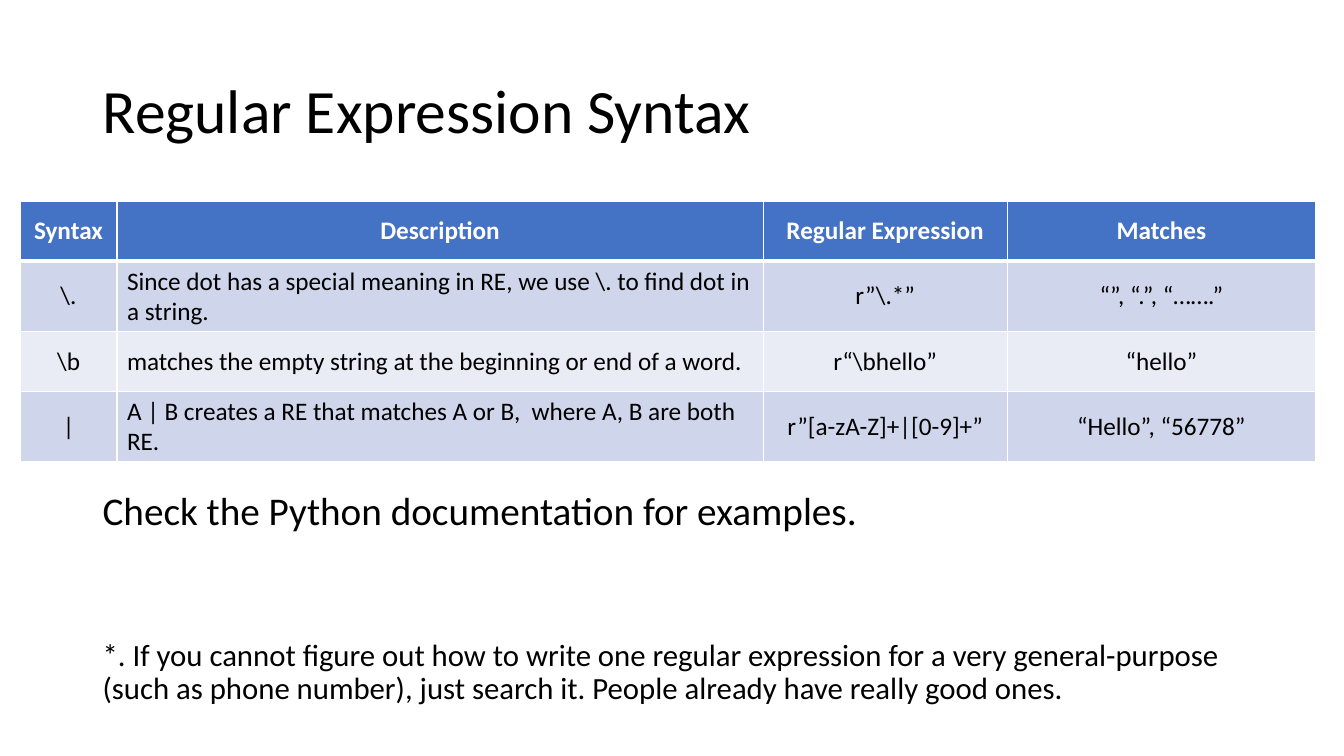
from lxml import etree
from pptx import Presentation
from pptx.dml.color import RGBColor
from pptx.enum.text import MSO_ANCHOR, PP_ALIGN
from pptx.oxml.ns import qn
from pptx.util import Inches, Pt

LEFT, CENTER = PP_ALIGN.LEFT, PP_ALIGN.CENTER
TOP, MIDDLE = MSO_ANCHOR.TOP, MSO_ANCHOR.MIDDLE
BLACK = RGBColor(0x00, 0x00, 0x00)
WHITE = RGBColor(0xFF, 0xFF, 0xFF)
BLUE = RGBColor(0x44, 0x72, 0xC4)
BANDS = (RGBColor(0xCF, 0xD5, 0xEA), RGBColor(0xE9, 0xEB, 0xF5))
FONT = "Calibri"

SLIDE_W, SLIDE_H = 13.33, 7.5
MARGIN, TEXT_W = 0.92, 11.5
COLUMN_WIDTHS = (0.96, 6.41, 2.42, 3.06)
ROW_H = 0.59

SYNTAX_ROWS = (
    ("Syntax", "Description", "Regular Expression", "Matches"),
    (r"\.", r"Since dot has a special meaning in RE, we use \. to find dot in a string.",
     r"r”\.*”", "“”, “.”, “…….”"),
    (r"\b", "matches the empty string at the beginning or end of a word.",
     r"r“\bhello”", "“hello”"),
    ("|", "A | B creates a RE that matches A or B,  where A, B are both RE.",
     "r”[a-zA-Z]+|[0-9]+”", "“Hello”, “56778”"),
)


def write(frame, text, size=18, color=BLACK, bold=False, align=LEFT, spacing=1.0):
    frame.word_wrap = True
    paragraph = frame.paragraphs[0]
    paragraph.alignment = align
    paragraph.line_spacing = spacing
    run = paragraph.add_run()
    run.text = text
    run.font.name = FONT
    run.font.size = Pt(size)
    run.font.bold = bold
    run.font.color.rgb = color


def add_text(slide, box, text, anchor=TOP, **text_format):
    frame = slide.shapes.add_textbox(*map(Inches, box)).text_frame
    frame.vertical_anchor = anchor
    write(frame, text, spacing=0.9, **text_format)


def set_borders(cell, bottom_width):
    """Draw white cell borders; they must precede the fill in the cell's XML."""
    properties = cell._tc.get_or_add_tcPr()
    for tag, width in (("a:lnL", 1), ("a:lnR", 1), ("a:lnT", 1), ("a:lnB", bottom_width)):
        line = etree.SubElement(properties, qn(tag), w=str(Pt(width)))
        fill = etree.SubElement(line, qn("a:solidFill"))
        etree.SubElement(fill, qn("a:srgbClr"), val=str(WHITE))


def add_syntax_table(slide, left, top):
    table = slide.shapes.add_table(
        len(SYNTAX_ROWS), len(COLUMN_WIDTHS), Inches(left), Inches(top),
        Inches(sum(COLUMN_WIDTHS)), Inches(ROW_H * len(SYNTAX_ROWS))).table
    for column, width in zip(table.columns, COLUMN_WIDTHS):
        column.width = Inches(width)
    for r, entries in enumerate(SYNTAX_ROWS):
        header = r == 0
        table.rows[r].height = Inches(ROW_H)
        for c, entry in enumerate(entries):
            cell = table.cell(r, c)
            cell.vertical_anchor = MIDDLE
            set_borders(cell, bottom_width=3 if header else 1)
            cell.fill.solid()
            cell.fill.fore_color.rgb = BLUE if header else BANDS[(r - 1) % 2]
            write(cell.text_frame, entry, bold=header, color=WHITE if header else BLACK,
                  align=LEFT if c == 1 and not header else CENTER)


def build_syntax_slide(slide):
    add_text(slide, (MARGIN, 0.4, TEXT_W, 1.45), "Regular Expression Syntax",
             anchor=MIDDLE, size=44)
    add_syntax_table(slide, 0.2, 2)
    add_text(slide, (MARGIN, 4.83, TEXT_W, 0.55),
             "Check the Python documentation for examples.", size=28)
    add_text(slide, (MARGIN, 6.3, TEXT_W, 0.8),
             "*. If you cannot figure out how to write one regular expression for a very "
             "general-purpose (such as phone number), just search it. People already have "
             "really good ones.", size=22)


def main():
    presentation = Presentation()
    presentation.slide_width = Inches(SLIDE_W)
    presentation.slide_height = Inches(SLIDE_H)
    build_syntax_slide(presentation.slides.add_slide(presentation.slide_layouts[6]))
    presentation.save("out.pptx")


if __name__ == "__main__":
    main()
